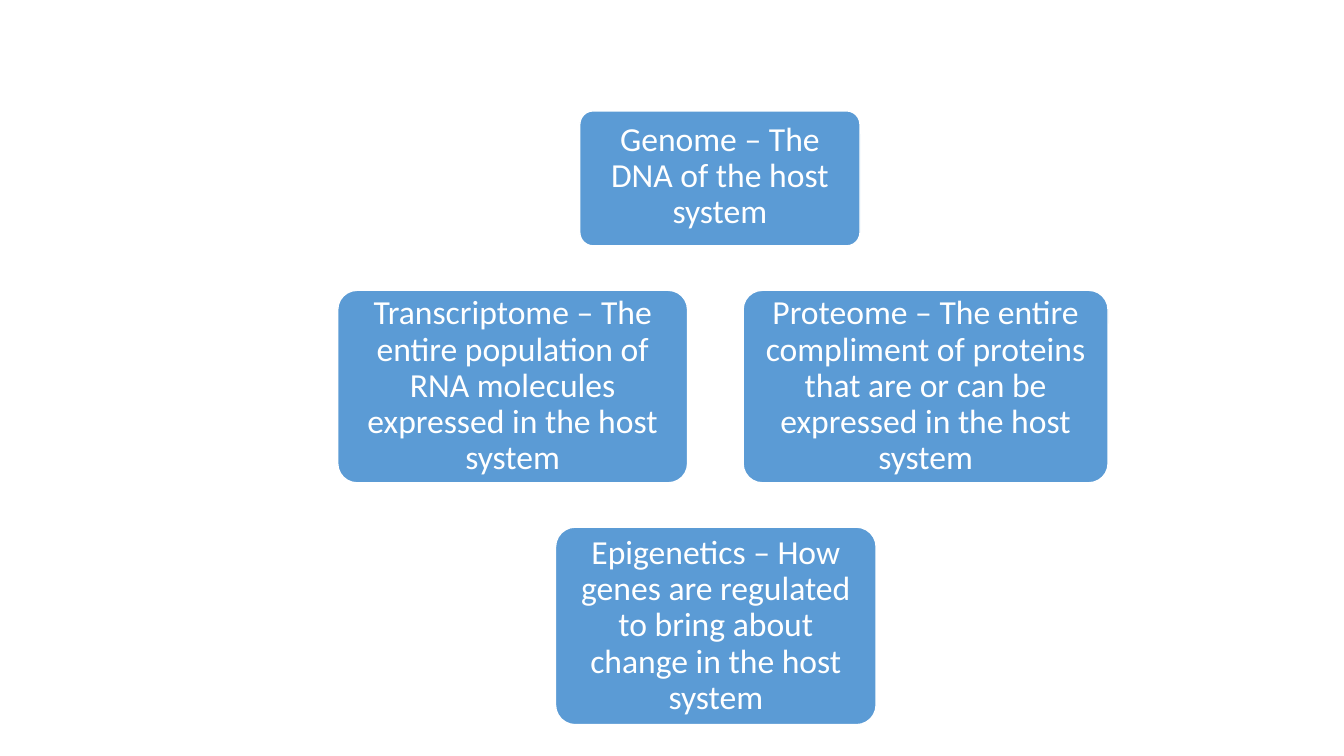
from dataclasses import dataclass

import pptx
import pptx.dml.color
import pptx.enum.shapes
import pptx.enum.text
import pptx.util

Inches = pptx.util.Inches
Anchor = pptx.enum.text.MSO_ANCHOR


@dataclass(frozen=True)
class Theme:
    """Hold the colours, type and box styling of the slide."""

    fill: str = "5B9BD5"
    white: str = "FFFFFF"
    font: str = "Calibri"
    text_size: int = 24
    line_spacing: float = 0.9
    outline: int = 1
    corner: float = 0.1
    text_margin: float = 0.11
    corner_inset: float = 0.29


THEME = Theme()


def colour(code):
    """Return an RGB colour for a hex code."""
    return pptx.dml.color.RGBColor.from_string(code)


def write_text(frame, text, *, size, code, anchor, margin):
    """Write one centred paragraph into a text frame."""
    frame.word_wrap = True
    frame.vertical_anchor = anchor
    frame.margin_left = frame.margin_right = Inches(margin)
    frame.margin_top = frame.margin_bottom = Inches(margin)
    para = frame.paragraphs[0]
    para.alignment = pptx.enum.text.PP_ALIGN.CENTER
    para.line_spacing = THEME.line_spacing
    span = para.add_run()
    span.text = text
    span.font.name = THEME.font
    span.font.size = pptx.util.Pt(size)
    span.font.color.rgb = colour(code)


def add_card(page, text, left, top, width, height, anchor=Anchor.MIDDLE):
    """Add a rounded box that holds one definition."""
    box = page.shapes.add_shape(
        pptx.enum.shapes.MSO_SHAPE.ROUNDED_RECTANGLE,
        Inches(left), Inches(top), Inches(width), Inches(height),
    )
    box.adjustments[0] = THEME.corner
    box.shadow.inherit = False
    box.fill.solid()
    box.fill.fore_color.rgb = colour(THEME.fill)
    box.line.color.rgb = colour(THEME.white)
    box.line.width = pptx.util.Pt(THEME.outline)
    inset = THEME.corner_inset * THEME.corner * min(width, height)
    write_text(box.text_frame, text, size=THEME.text_size, code=THEME.white,
               anchor=anchor, margin=THEME.text_margin - inset)


def main():
    """Build the slide and save it."""
    deck = pptx.Presentation()
    deck.slide_width, deck.slide_height = Inches(13.33), Inches(7.5)
    page = deck.slides.add_slide(deck.slide_layouts[6])
    add_card(page, "Genome – The DNA of the host system",
             5.75, 1.1, 2.78, 1.34, anchor=Anchor.TOP)
    add_card(page, "Proteome – The entire compliment of proteins that are "
             "or can be expressed in the host system", 7.37, 2.88, 3.62, 1.91)
    add_card(page, "Epigenetics – How genes are regulated to bring about "
             "change in the host system", 5.51, 5.23, 3.18, 1.96)
    add_card(page, "Transcriptome – The entire population of RNA molecules "
             "expressed in the host system", 3.35, 2.88, 3.47, 1.91)
    deck.save("out.pptx")


if __name__ == "__main__":
    main()
